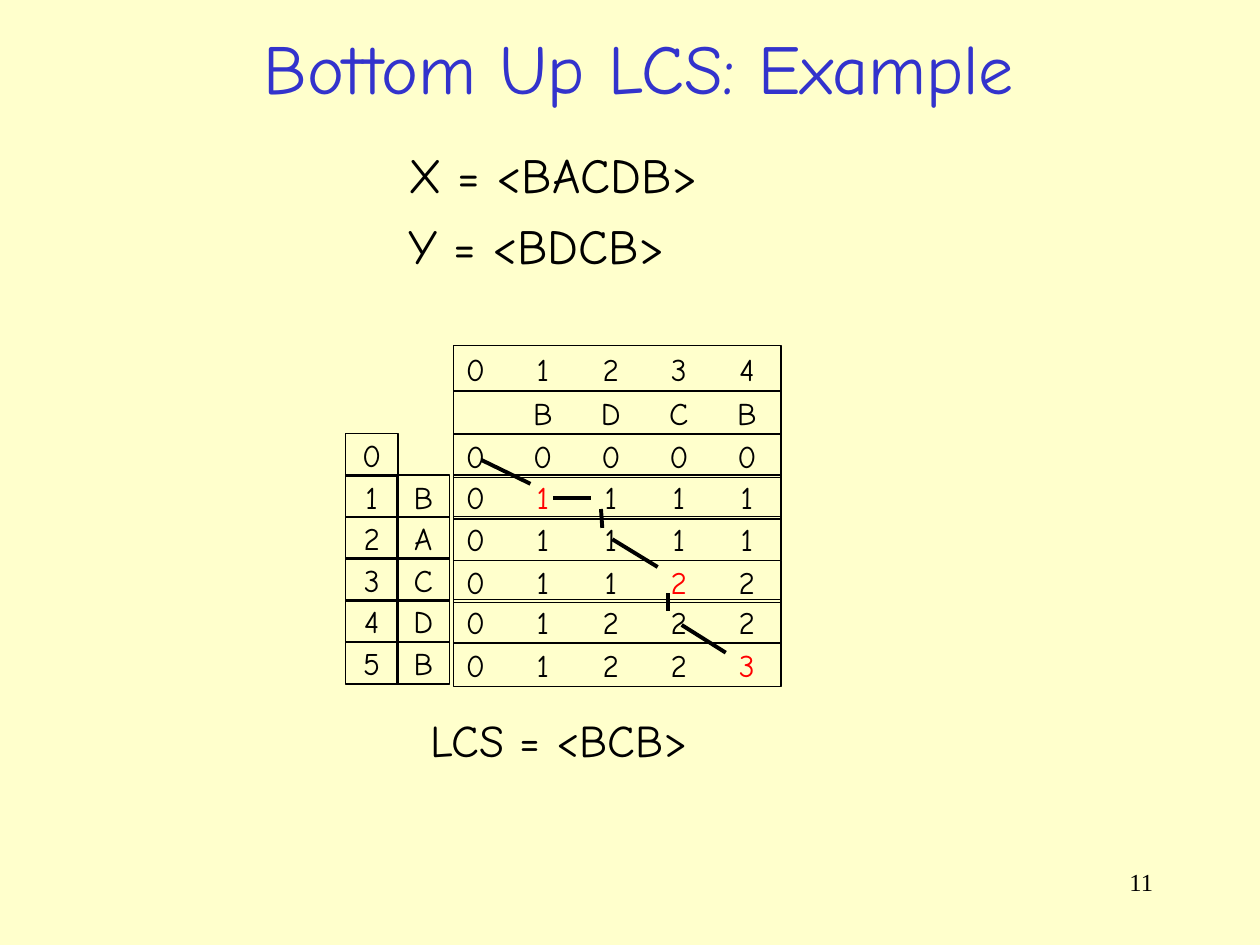
from dataclasses import dataclass
from typing import NamedTuple

from lxml import etree
from pptx import Presentation, util as u
from pptx.dml import color
from pptx.enum import shapes, text
from pptx.oxml import ns


@dataclass(frozen=True)
class Theme:
    background: color.RGBColor = color.RGBColor(0xFF, 0xFF, 0xCC)
    title: color.RGBColor = color.RGBColor(0x33, 0x33, 0xCC)
    ink: color.RGBColor = color.RGBColor(0, 0, 0)
    match: color.RGBColor = color.RGBColor(0xFF, 0, 0)
    font: str = "Comic Neue"
    number_font: str = "Times New Roman"
    title_size: float = 40
    body_size: float = 28
    result_size: float = 25.9
    cell_size: float = 18
    number_size: float = 14
    border: float = 0.75
    path_width: float = 2.25


class Row(NamedTuple):
    top: float
    height: float
    values: str
    match: int | None = None


class Step(NamedTuple):
    x1: float
    y1: float
    x2: float
    y2: float


THEME = Theme()
GRID_LEFT, GRID_WIDTH = 3.6, 2.6
FIRST_CENTER, COLUMN_PITCH = 0.07, 0.54
INDEX_LEFT, LETTER_LEFT, LABEL_WIDTH = 2.74, 3.15, 0.42
LABEL_TOP, LABEL_PITCH, LABEL_HEIGHT = 3.44, 0.33, 0.34

ROWS = [
    Row(2.74, 0.37, "01234"),
    Row(3.1, 0.35, " BDCB"),
    Row(3.44, 0.35, "00000"),
    Row(3.77, 0.35, "01111", match=1),
    Row(4.1, 0.35, "01111"),
    Row(4.45, 0.33, "01122", match=3),
    Row(4.76, 0.35, "01222"),
    Row(5.1, 0.35, "01223", match=4),
]

STEPS = [
    Step(5.41, 4.96, 5.76, 5.18),
    Step(5.3, 4.71, 5.3, 4.85),
    Step(4.86, 4.28, 5.22, 4.5),
    Step(4.77, 4.04, 4.78, 4.19),
    Step(4.39, 3.95, 4.69, 3.95),
    Step(3.82, 3.65, 4.21, 3.84),
]


def style(para, size: float, ink=THEME.ink, font: str = THEME.font,
          align=text.PP_ALIGN.LEFT) -> None:
    para.alignment = align
    para.font.name = font
    para.font.size = u.Pt(size)
    para.font.color.rgb = ink


def add_text(page, left: float, top: float, width: float, height: float,
             lines: list[str], size: float, anchor=text.MSO_ANCHOR.TOP,
             **look):
    box = page.shapes.add_textbox(*map(u.Inches, (left, top, width, height)))
    frame = box.text_frame
    frame.word_wrap = True
    frame.vertical_anchor = anchor
    for index, line in enumerate(lines):
        para = frame.add_paragraph() if index else frame.paragraphs[0]
        para.add_run().text = line
        style(para, size, **look)
        if index:
            para.space_before = u.Pt(7)
    return frame


def add_cell(page, left: float, top: float, width: float, height: float):
    box = page.shapes.add_shape(
        shapes.MSO_SHAPE.RECTANGLE,
        *map(u.Inches, (left, top, width, height)))
    box.shadow.inherit = False
    box.fill.background()
    box.line.color.rgb = THEME.ink
    box.line.width = u.Pt(THEME.border)
    box.text_frame.word_wrap = True
    box.text_frame.vertical_anchor = text.MSO_ANCHOR.MIDDLE
    return box.text_frame.paragraphs[0]


def add_label(page, left: float, row: int, label: str) -> None:
    para = add_cell(page, left, LABEL_TOP + row * LABEL_PITCH,
                    LABEL_WIDTH, LABEL_HEIGHT)
    para.add_run().text = label
    style(para, THEME.cell_size, align=text.PP_ALIGN.CENTER)


def add_column_tabs(para, count: int) -> None:
    tabs = etree.SubElement(para._p.get_or_add_pPr(), ns.qn("a:tabLst"))
    for column in range(1, count):
        position = u.Inches(FIRST_CENTER + column * COLUMN_PITCH)
        etree.SubElement(tabs, ns.qn("a:tab"), pos=str(position), algn="ctr")


def add_row(page, row: Row) -> None:
    para = add_cell(page, GRID_LEFT, row.top, GRID_WIDTH, row.height)
    add_column_tabs(para, len(row.values))
    style(para, THEME.cell_size)
    for column, value in enumerate(row.values):
        span = para.add_run()
        span.text = ("\t" if column else "") + value.strip()
        span.font.color.rgb = (
            THEME.match if column == row.match else THEME.ink)


def add_step(page, step: Step) -> None:
    line = page.shapes.add_connector(
        shapes.MSO_CONNECTOR.STRAIGHT, *map(u.Inches, step))
    line.line.color.rgb = THEME.ink
    line.line.width = u.Pt(THEME.path_width)
    etree.SubElement(line._element.spPr, ns.qn("a:effectLst"))


def main() -> None:
    deck = Presentation()
    deck.slide_width, deck.slide_height = u.Inches(10), u.Inches(7.5)
    page = deck.slides.add_slide(deck.slide_layouts[6])
    page.background.fill.solid()
    page.background.fill.fore_color.rgb = THEME.background

    add_text(page, 7.17, 6.83, 2.08, 0.5, ["11"], THEME.number_size,
             font=THEME.number_font, align=text.PP_ALIGN.RIGHT)
    add_text(page, 0.3, 0.15, 9.54, 0.76, ["Bottom Up LCS: Example"],
             THEME.title_size, anchor=text.MSO_ANCHOR.MIDDLE,
             ink=THEME.title, align=text.PP_ALIGN.CENTER)
    add_text(page, 3.14, 1.1, 2.53, 1.14, ["X = <BACDB>", "Y = <BDCB>"],
             THEME.body_size)

    for index, letter in enumerate(" BACDB"):
        add_label(page, INDEX_LEFT, index, str(index))
        if index:
            add_label(page, LETTER_LEFT, index, letter)
    for row in ROWS:
        add_row(page, row)

    result = add_text(page, 3.32, 5.65, 2.55, 0.56, ["LCS = <BCB>"],
                      THEME.result_size)
    result.paragraphs[0].line_spacing = 0.9
    for step in STEPS:
        add_step(page, step)

    deck.save("out.pptx")


if __name__ == "__main__":
    main()
